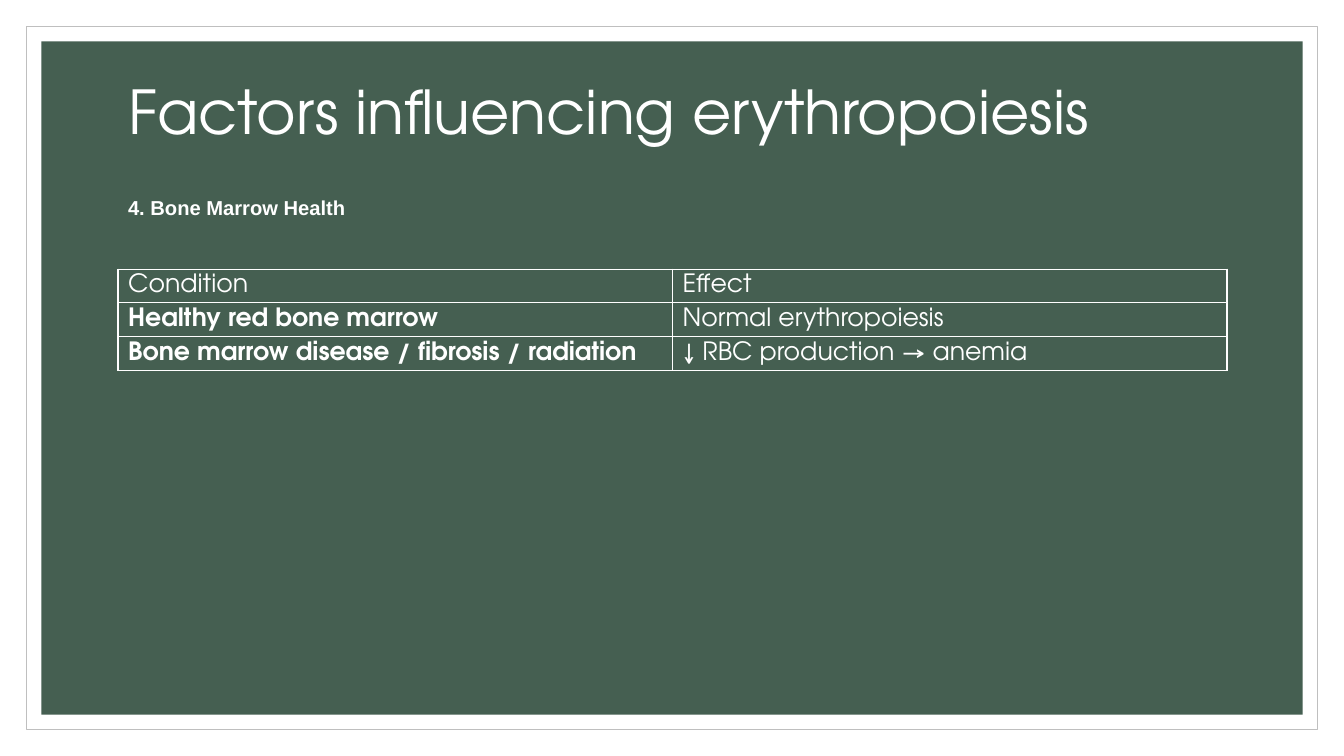
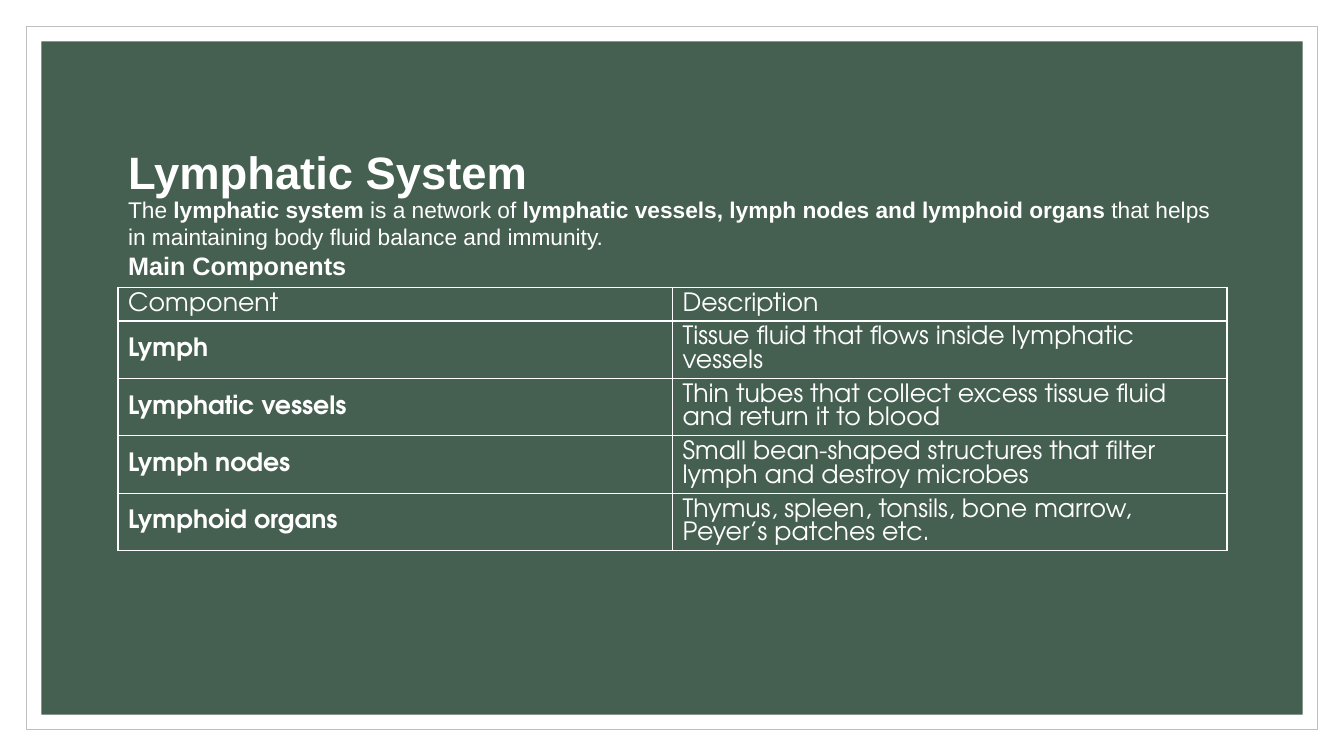
from dataclasses import dataclass

from lxml import etree
from pptx import Presentation
from pptx.dml.color import RGBColor
from pptx.enum import shapes, text
from pptx.oxml import ns
from pptx.util import Inches, Pt


@dataclass(frozen=True)
class Theme:
    white: RGBColor = RGBColor(0xFF, 0xFF, 0xFF)
    green: RGBColor = RGBColor(0x45, 0x5F, 0x51)
    grey: RGBColor = RGBColor(0xBF, 0xBF, 0xBF)
    display: str = "TeX Gyre Adventor"
    plain: str = "Arial"
    title: float = 43.2
    heading: float = 32.4
    subhead: float = 18
    body: float = 16.2
    label: float = 14.4
    cell: float = 18


theme = Theme()
left, width = Inches(1.17), Inches(11)


def add_span(para, words, font, size, bold=False):
    span = para.add_run()
    span.text = words
    span.font.name = font
    span.font.size = Pt(size)
    span.font.bold = bold
    span.font.color.rgb = theme.white


def fill_box(box, top, height, paragraphs):
    box.left, box.top, box.width, box.height = left, Inches(top), width, Inches(height)
    frame = box.text_frame
    frame.word_wrap = True
    frame.auto_size = text.MSO_AUTO_SIZE.NONE
    frame.vertical_anchor = text.MSO_ANCHOR.TOP
    for index, spans in enumerate(paragraphs):
        para = frame.add_paragraph() if index else frame.paragraphs[0]
        properties = para._p.get_or_add_pPr()
        properties.set("marL", "0")
        properties.set("indent", "0")
        etree.SubElement(properties, ns.qn("a:buNone"))
        para.alignment = text.PP_ALIGN.LEFT
        para.space_before = Pt(0)
        for span in spans:
            add_span(para, *span)


slides = [
    {
        "title": (0.68, 0.8, [("Factors influencing erythropoiesis", theme.display, theme.title)]),
        "body": (0.4, [[("4. Bone Marrow Health", theme.plain, theme.label, True)]]),
        "table_top": 2.67,
        "row_height": 0.33,
        "rows": [
            ("Condition", "Effect"),
            ("Healthy red bone marrow", "Normal erythropoiesis"),
            ("Bone marrow disease / fibrosis / radiation", "↓ RBC production → anemia"),
        ],
    },
    {
        "title": (1.38, 0.6, [("Lymphatic System", theme.plain, theme.heading, True)]),
        "body": (0.95, [
            [
                ("The ", theme.plain, theme.body),
                ("lymphatic system", theme.plain, theme.body, True),
                (" is a network of ", theme.plain, theme.body),
                ("lymphatic vessels, lymph nodes and lymphoid organs", theme.plain, theme.body, True),
                (" that helps in maintaining body fluid balance and immunity.", theme.plain, theme.body),
            ],
            [("Main Components", theme.plain, theme.subhead, True)],
        ]),
        "table_top": 2.85,
        "row_height": 0.57,
        "rows": [
            ("Component", "Description"),
            ("Lymph", "Tissue fluid that flows inside lymphatic vessels"),
            ("Lymphatic vessels", "Thin tubes that collect excess tissue fluid and return it to blood"),
            ("Lymph nodes", "Small bean-shaped structures that filter lymph and destroy microbes"),
            ("Lymphoid organs", "Thymus, spleen, tonsils, bone marrow, Peyer’s patches etc."),
        ],
    },
]

deck = Presentation()
deck.slide_width, deck.slide_height = Inches(13.33), Inches(7.5)
layout = deck.slide_layouts[1]
pages = [deck.slides.add_slide(layout) for content in slides]

master_tree = deck.slide_master.shapes.element
for position, (inset, fill, line) in enumerate([
    (0.26, theme.white, theme.grey),
    (0.41, theme.green, None),
]):
    panel = pages[0].shapes.add_shape(
        shapes.MSO_SHAPE.RECTANGLE, Inches(inset), Inches(inset),
        Inches(13.33 - 2 * inset), Inches(7.5 - 2 * inset))
    panel.shadow.inherit = False
    panel.fill.solid()
    panel.fill.fore_color.rgb = fill
    if line:
        panel.line.color.rgb = line
        panel.line.width = Pt(0.5)
    else:
        panel.line.fill.background()
    master_tree.insert(2 + position, panel.element)

for page, content in zip(pages, slides):
    title_top, title_height, title_spans = content["title"]
    fill_box(page.shapes.title, title_top, title_height, [title_spans])
    body_height, body_paragraphs = content["body"]
    fill_box(page.placeholders[1], 1.89, body_height, body_paragraphs)

    rows = content["rows"]
    heights = [Inches(0.33)] + [Inches(content["row_height"])] * (len(rows) - 1)
    table = page.shapes.add_table(
        len(rows), 2, left, Inches(content["table_top"]), width, sum(heights)).table
    table.first_row = False
    table.horz_banding = False
    for row_index, row in enumerate(rows):
        table.rows[row_index].height = heights[row_index]
        for column_index, words in enumerate(row):
            cell = table.cell(row_index, column_index)
            cell.fill.background()
            cell.vertical_anchor = text.MSO_ANCHOR.MIDDLE
            bold = row_index > 0 and column_index == 0
            add_span(cell.text_frame.paragraphs[0], words, theme.display, theme.cell, bold)
            properties = cell._tc.get_or_add_tcPr()
            for order, side in enumerate(("lnL", "lnR", "lnT", "lnB")):
                border = etree.Element(ns.qn(f"a:{side}"), w=str(Pt(1)))
                paint = etree.SubElement(border, ns.qn("a:solidFill"))
                etree.SubElement(paint, ns.qn("a:srgbClr"), val=str(theme.white))
                properties.insert(order, border)

deck.save("out.pptx")
